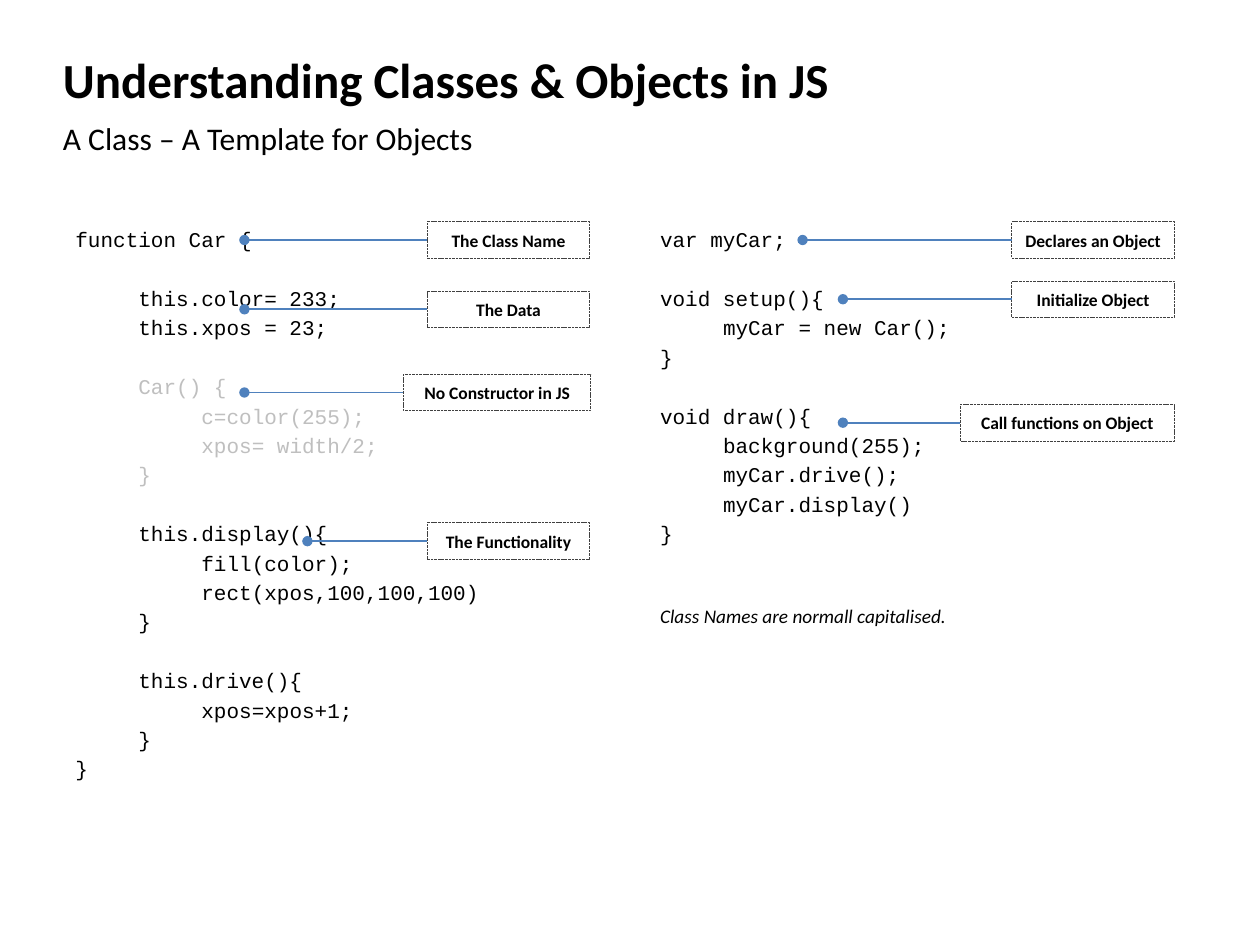
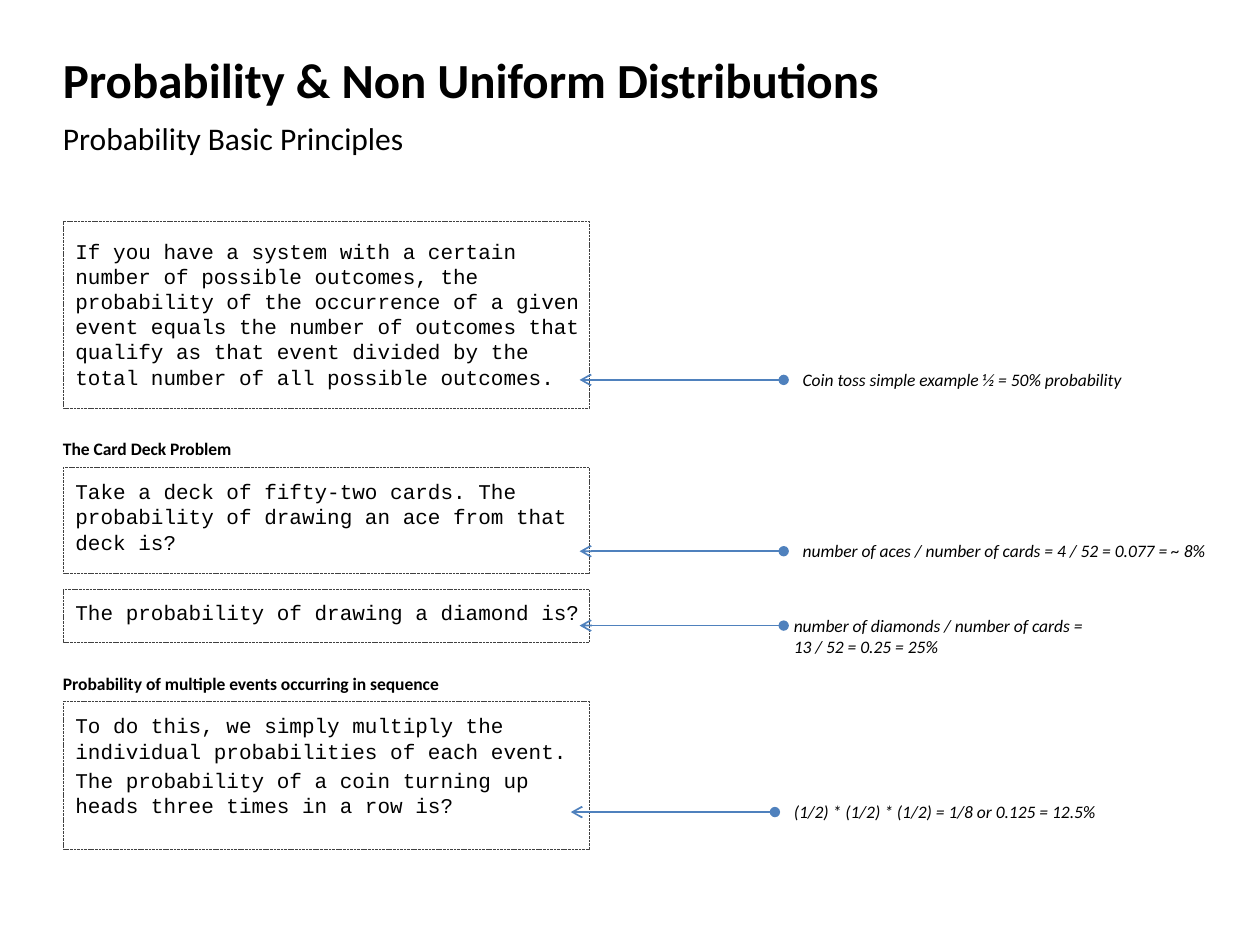
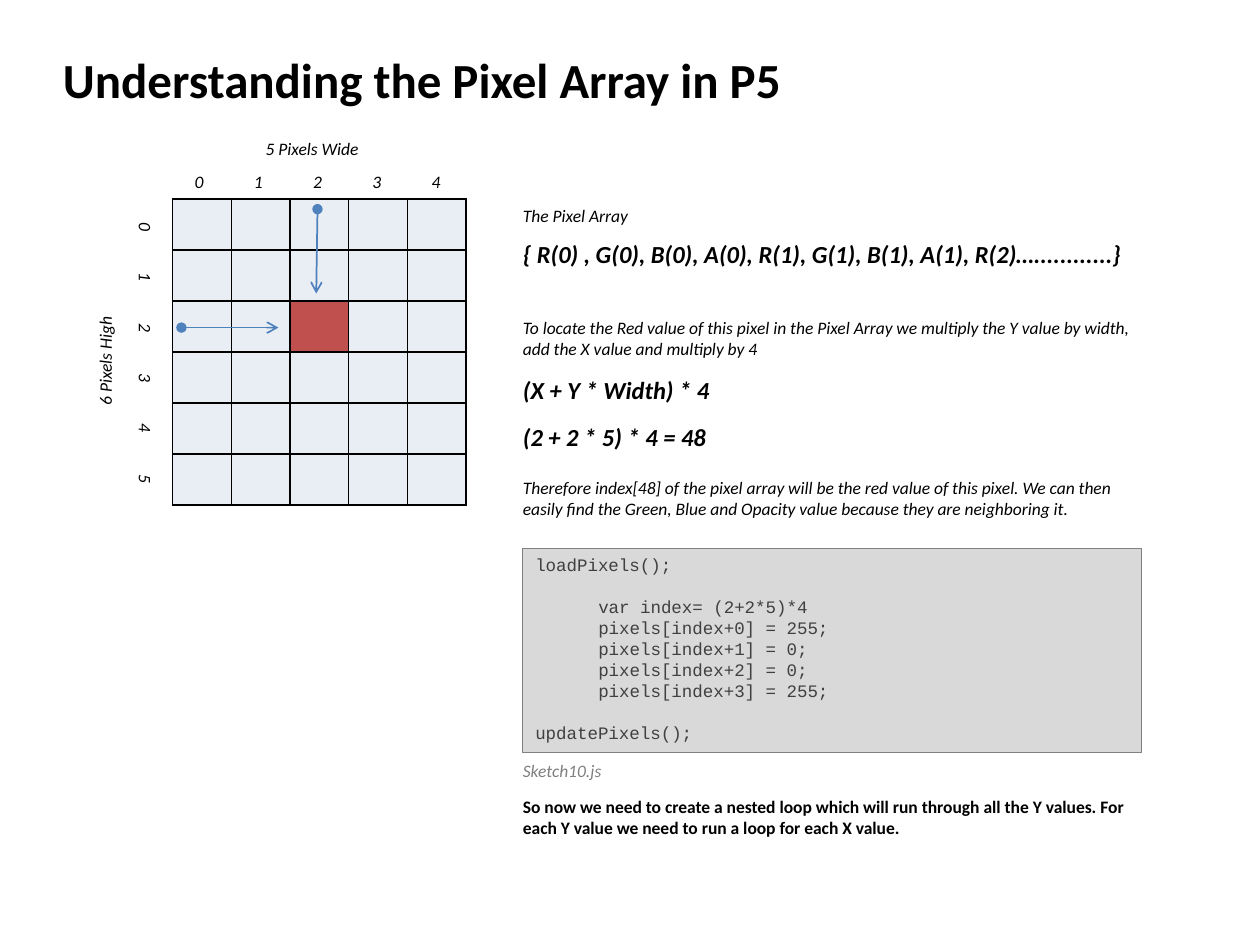
from lxml.etree import SubElement
from pptx import Presentation
from pptx.dml.color import RGBColor
from pptx.enum.dml import MSO_LINE
from pptx.enum.shapes import MSO_CONNECTOR, MSO_SHAPE
from pptx.enum.text import MSO_ANCHOR, PP_ALIGN
from pptx.oxml.ns import qn
from pptx.util import Inches, Pt

COLORS = {
    "ink": "000000", "dim": "BFBFBF", "edge": "404040", "accent": "4F81BD",
    "note": "808080", "panel": "D9D9D9", "pixel": "E9EDF4", "red": "C0504D",
}
SANS, MONO = "Calibri", "Courier New"
COLS, ROWS = 100, 75          # grid of the 10 x 7.5 inch slide
LEFT = 5                      # left margin, in columns
TAB = "    "


def rgb(name):
    return RGBColor.from_string(COLORS[name])


def grid(n):
    """Length of n columns or rows."""
    return Inches(n / 10)


def write(tf, text, size=10, font=SANS, color="ink", bold=False, italic=False,
          align=None, before=0, dim=(), stops=()):
    """One paragraph a line: indentation sets the margin, an empty line a gap."""
    gap, p = before, None
    for i, line in enumerate(text.strip("\n").split("\n")):
        if not line.strip():
            gap += 1.2 * size + before
            continue
        p = tf.add_paragraph() if p is not None else tf.paragraphs[0]
        p.alignment = align
        if gap:
            p.space_before = Pt(gap)
        gap = before
        body = line.lstrip(" ")
        level = (len(line) - len(body)) // len(TAB)
        pPr = p._p.get_or_add_pPr()
        if level:
            pPr.set("marL", str(Inches(0.5 * level)))
        if stops:
            tabs = SubElement(pPr, qn("a:tabLst"))
            for stop in stops:
                SubElement(tabs, qn("a:tab"), pos=str(grid(stop)), algn="ctr")
        r = p.add_run()
        r.text = body
        f = r.font
        f.name, f.size, f.bold, f.italic = font, Pt(size), bold, italic
        f.color.rgb = rgb("dim" if i in dim else color)


class Deck:
    def __init__(self):
        self.prs = Presentation()
        self.prs.slide_width, self.prs.slide_height = grid(COLS), grid(ROWS)
        self.s = None

    def slide(self, title, subtitle=None):
        self.s = self.prs.slides.add_slide(self.prs.slide_layouts[6])
        self.text(title, LEFT, 3, 90, 6.5, size=28, bold=True, middle=True)
        if subtitle:
            self.text(subtitle, LEFT, 8.7, 90, 4.5, size=18, middle=True)

    def text(self, text, x, y, w, h=2.7, inset=0, middle=False, **fmt):
        sp = self.s.shapes.add_textbox(grid(x), grid(y), grid(w), grid(h))
        tf = sp.text_frame
        tf.word_wrap = True
        tf.margin_left = grid(inset)
        if middle:
            tf.vertical_anchor = MSO_ANCHOR.MIDDLE
        write(tf, text, **fmt)
        return sp

    def code(self, text, x, y, w, h, **fmt):
        self.text(text, x, y, w, h, inset=1, size=12, font=MONO, before=2.4, **fmt)

    def box(self, x, y, w, h, fill=None, line="edge", dashed=True):
        sp = self.s.shapes.add_shape(MSO_SHAPE.RECTANGLE, grid(x), grid(y), grid(w), grid(h))
        sp.shadow.inherit = False
        if fill:
            sp.fill.solid()
            sp.fill.fore_color.rgb = rgb(fill)
        else:
            sp.fill.background()
        sp.line.color.rgb = rgb(line)
        sp.line.width = Pt(0.5)
        if dashed:
            sp.line.dash_style = MSO_LINE.SQUARE_DOT
        sp.text_frame.word_wrap = True
        return sp

    def line(self, x1, y1, x2, y2, head="oval", tail="arrow"):
        c = self.s.shapes.add_connector(
            MSO_CONNECTOR.STRAIGHT, grid(x1), grid(y1), grid(x2), grid(y2))
        c.line.color.rgb = rgb("accent")
        c.line.width = Pt(1)
        spPr = c._element.spPr
        ln = spPr.find(qn("a:ln"))
        for tag, end in (("a:headEnd", head), ("a:tailEnd", tail)):
            if end:
                SubElement(ln, qn(tag), type=end)
        SubElement(spPr, qn("a:effectLst"))
        return c

    def callout(self, text, x, y, w, target):
        """Dashed label with a dotted leader to the code on its left."""
        h = 2.9
        sp = self.box(x, y, w, h)
        sp.text_frame.vertical_anchor = MSO_ANCHOR.MIDDLE
        write(sp.text_frame, text, bold=True, align=PP_ALIGN.CENTER)
        mid = y + h / 2
        self.line(x, mid, target, mid, head=None, tail="oval").begin_connect(sp, 1)

    def pixels(self, x, y, w, h, cols, rows, marked):
        table = self.s.shapes.add_table(rows, cols, grid(x), grid(y), grid(w), grid(h)).table
        table.first_row = table.horz_banding = False
        for row in range(rows):
            for col in range(cols):
                cell = table.cell(row, col)
                tcPr = cell._tc.get_or_add_tcPr()
                for side in ("L", "R", "T", "B"):
                    ln = SubElement(tcPr, qn(f"a:ln{side}"), w=str(Pt(1)))
                    fill = SubElement(ln, qn("a:solidFill"))
                    SubElement(fill, qn("a:srgbClr"), val=COLORS["ink"])
                cell.fill.solid()
                cell.fill.fore_color.rgb = rgb("red" if (col, row) == marked else "pixel")


CAR_CLASS = """
function Car {

    this.color= 233;
    this.xpos = 23;

    Car() {
        c=color(255);
        xpos= width/2;
    }

    this.display(){
        fill(color);
        rect(xpos,100,100,100)
    }

    this.drive(){
        xpos=xpos+1;
    }
}
"""

CAR_SKETCH = """
var myCar;

void setup(){
    myCar = new Car();
}

void draw(){
    background(255);
    myCar.drive();
    myCar.display()
}
"""

SET_PIXEL = """
loadPixels();

    var index= (2+2*5)*4
    pixels[index+0] = 255;
    pixels[index+1] = 0;
    pixels[index+2] = 0;
    pixels[index+3] = 255;

updatePixels();
"""


def classes_slide(deck):
    deck.slide("Understanding Classes & Objects in JS", "A Class – A Template for Objects")
    # Code columns
    deck.code(CAR_CLASS, LEFT, 17.5, 43.5, 49.5, dim=range(5, 9))
    deck.code(CAR_SKETCH, 51.4, 17.5, 43.6, 49.5)
    deck.text("Class Names are normall capitalised.", 51.4, 47.5, 43.6, 23.9,
              inset=1, size=11, italic=True)
    # Callouts: text, left, top, width, end of leader
    for callout in (
        ("The Class Name", 33.9, 17.6, 12.9, 19.4),
        ("The Data", 33.9, 23.1, 12.9, 19.4),
        ("No Constructor in JS", 32, 29.7, 14.9, 19.4),
        ("The Functionality", 33.9, 41.5, 12.9, 24.4),
        ("Declares an Object", 80.3, 17.6, 12.9, 63.7),
        ("Initialize Object", 80.3, 22.3, 12.9, 66.9),
        ("Call functions on Object", 76.2, 32.1, 17, 66.9),
    ):
        deck.callout(*callout)


def probability_slide(deck):
    deck.slide("Probability & Non Uniform Distributions", "Probability Basic Principles")
    # Statements: box top and height, text top and height, text
    for top, height, text_top, text_height, text in (
        (17.6, 14.8, 18.4, 13.9,
         "If you have a system with a certain number of possible outcomes, the probability "
         "of the occurrence of a given event equals the number of outcomes that qualify as "
         "that event divided by the total number of all possible outcomes."),
        (37.1, 8.4, 37.5, 7.7,
         "Take a deck of fifty-two cards. The probability of drawing an ace from that deck is?"),
        (46.8, 4.2, 47.1, 3.5, "The probability of drawing a diamond is?"),
        (55.7, 11.7, 56.1, 7.7,
         "To do this, we simply multiply the individual probabilities of each event.\n"
         "The probability of a coin turning up heads three times in a row is?"),
    ):
        deck.box(LEFT, top, 41.8, height)
        deck.code(text, LEFT, text_top, 43.5, text_height)
    # Headings
    for top, text in ((34.3, "The Card Deck Problem"),
                      (52.9, "Probability of multiple events occurring in sequence")):
        deck.text(text, LEFT, top, 43.3, bold=True)
    # Answers: left, top, start of arrow, text
    for x, y, start, text in (
        (63.7, 28.8, 62.2, "Coin toss simple example ½ = 50% probability"),
        (63.7, 42.4, 62.2, "number of aces / number of cards = 4 / 52 = 0.077 = ~ 8%"),
        (63, 48.3, 62.2, "number of diamonds / number of cards =\n13 / 52 = 0.25 = 25%"),
        (63, 63.1, 61.5, "(1/2) * (1/2) * (1/2) = 1/8 or 0.125 = 12.5%"),
    ):
        deck.text(text, x, y, 34.5, italic=True)
        deck.line(start, y + 1.35, start - 16.2, y + 1.35)


def pixel_slide(deck):
    deck.slide("Understanding the Pixel Array in P5")
    # Pixel grid with its axes
    cols, rows = 5, 6
    deck.pixels(13.7, 15.8, 23.3, 24.3, cols, rows, marked=(2, 2))
    deck.text("5 Pixels Wide", 12.9, 10.5, 24.7, italic=True, align=PP_ALIGN.CENTER)
    high = deck.text("6 Pixels High", -4, 26.8, 24.7, italic=True, align=PP_ALIGN.CENTER)
    high.rotation = 270
    for count, x, y, first, step, turn in ((cols, 12.9, 13.1, 2.9, 4.7, 0),
                                           (rows, -0.8, 26.8, 2.2, 4, 90)):
        numbers = "".join(f"\t{n}" for n in range(count))
        stops = [first + step * n for n in range(count)]
        deck.text(numbers, x, y, 24.7, italic=True, stops=stops).rotation = turn
    deck.line(25.2, 16.6, 25.1, 23.3)
    deck.line(14.4, 26, 22.1, 26)
    # Explanation
    x = 41.5
    for y, text in (
        (15.8, "The Pixel Array"),
        (24.7, "To locate the Red value of this pixel in the Pixel Array we multiply "
               "the Y value by width, add the X value and multiply by 4"),
        (37.4, "Therefore index[48] of the pixel array will be the red value of this pixel. "
               "We can then easily find the Green, Blue and Opacity value because they are "
               "neighboring it."),
    ):
        deck.text(text, x, y, 49.9, italic=True)
    for y, formula in (
        (18.5, "{ R(0) , G(0), B(0), A(0), R(1), G(1), B(1), A(1), R(2)…............}"),
        (29.3, "(X + Y * Width) * 4"),
        (33, "(2 + 2 * 5) * 4 = 48"),
    ):
        deck.text(formula, x, y, 50.8, 3.4, size=14, bold=True, italic=True)
    # Code panel
    panel = deck.box(x, 43.5, 49.1, 16.2, fill="panel", line="note", dashed=False)
    panel.text_frame.vertical_anchor = MSO_ANCHOR.TOP
    write(panel.text_frame, SET_PIXEL, font=MONO, color="edge", align=PP_ALIGN.LEFT)
    deck.text("Sketch10.js", x, 59.8, 12.9, color="note", italic=True)
    deck.text("So now we need to create a nested loop which will run through all the Y values. "
              "For each Y value we need to run a loop for each X value.",
              x, 62.7, 49.1, 4.4, bold=True)


def main():
    deck = Deck()
    classes_slide(deck)
    probability_slide(deck)
    pixel_slide(deck)
    deck.prs.save("out.pptx")


if __name__ == "__main__":
    main()
